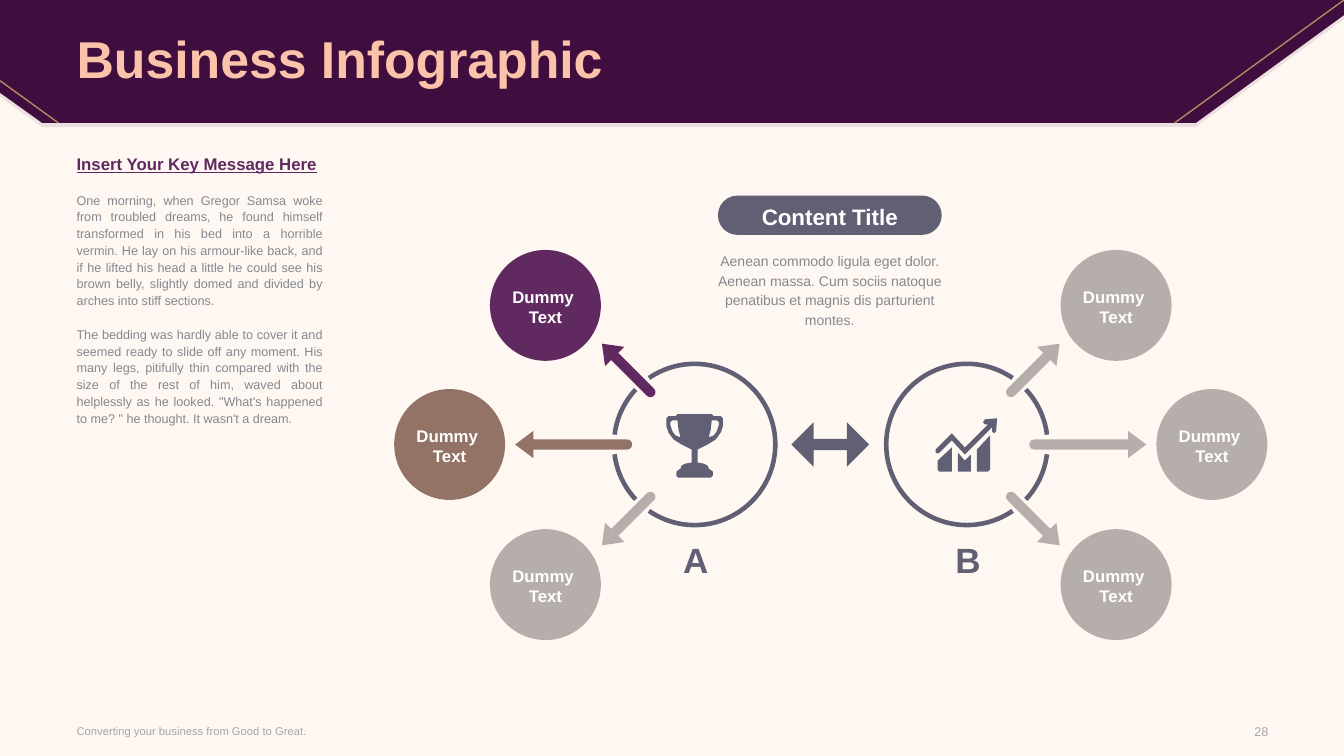
"""Build the Business Infographic slide with two hubs and their satellites."""
import math

import pptx
import pptx.dml.color
import pptx.enum.shapes
import pptx.enum.text
import pptx.oxml.ns
import pptx.util
from lxml import etree
from pptx.util import Inches

SHAPE = pptx.enum.shapes.MSO_SHAPE
ALIGN = pptx.enum.text.PP_ALIGN
ANCHOR = pptx.enum.text.MSO_ANCHOR
COLOR = pptx.dml.color.RGBColor.from_string


class Theme:
    font = "Arial"
    background = COLOR("FFF7F2")
    header = COLOR("3F0D3E")
    title = COLOR("FBC4AA")
    gold = COLOR("B98763")
    purple = COLOR("602A60")
    brown = COLOR("927365")
    stone = COLOR("B6AEAB")
    slate = COLOR("605F73")
    body = COLOR("85898F")
    footer = COLOR("A6A6A6")
    white = COLOR("FFFFFF")
    title_size = 37
    letter_size = 25
    pill_size = 16
    label_size = 12
    caption_size = 10
    body_size = 9
    footer_size = 8


deck = pptx.Presentation()
deck.slide_width = Inches(13.33)
deck.slide_height = Inches(7.5)
page = deck.slides.add_slide(deck.slide_layouts[6])
page.background.fill.solid()
page.background.fill.fore_color.rgb = Theme.background


def outline(contours, color):
    """Draw one filled freeform from closed contours given in inches."""
    rings = [[(Inches(x), Inches(y)) for x, y in contour] for contour in contours]
    builder = page.shapes.build_freeform(*rings[0][0], scale=1.0)
    for index, ring in enumerate(rings):
        if index:
            builder.move_to(*ring[0])
        builder.add_line_segments(ring[1:], close=True)
    shape = builder.convert_to_shape()
    shape.shadow.inherit = False
    shape.fill.solid()
    shape.fill.fore_color.rgb = color
    shape.line.fill.background()
    return shape


def write(at, texts, size, color, bold=False, align=ALIGN.LEFT,
          anchor=ANCHOR.MIDDLE, leading=None, gap=0):
    """Add a text box with one paragraph per text and return its paragraphs."""
    box = page.shapes.add_textbox(*map(Inches, at))
    frame = box.text_frame
    frame.word_wrap = True
    frame.vertical_anchor = anchor
    frame.margin_left = frame.margin_right = frame.margin_top = frame.margin_bottom = 0
    for index, text in enumerate(texts):
        para = frame.add_paragraph() if index else frame.paragraphs[0]
        para.alignment = align
        if leading:
            para.line_spacing = pptx.util.Pt(leading)
        if index and gap:
            para.space_before = pptx.util.Pt(gap)
        span = para.add_run()
        span.text = text
        span.font.name = Theme.font
        span.font.size = pptx.util.Pt(size)
        span.font.bold = bold
        span.font.color.rgb = color
    return frame.paragraphs


band = [(0, 0), (13.33, 0), (13.33, 0.15), (11.86, 1.22), (0.42, 1.22), (0, 0.92)]
band_shadow = outline([[(x, y + 0.04) for x, y in band]], Theme.header)
tint = band_shadow.fill._xPr.find(".//" + pptx.oxml.ns.qn("a:srgbClr"))
etree.SubElement(tint, pptx.oxml.ns.qn("a:alpha"), val="10000")
outline([band], Theme.header)

for x1, y1, x2, y2 in [(13.33, 0, 11.65, 1.22), (0, 0.8, 0.58, 1.22)]:
    trim = page.shapes.add_connector(
        pptx.enum.shapes.MSO_CONNECTOR.STRAIGHT, *map(Inches, (x1, y1, x2, y2)))
    trim.line.color.rgb = Theme.gold
    trim.line.width = pptx.util.Pt(1)
    etree.SubElement(trim._element.spPr, pptx.oxml.ns.qn("a:effectLst"))

title = write((0.76, 0.03, 11.81, 1.17), ["Business Infographic"],
              Theme.title_size, Theme.title, bold=True)
title[0].line_spacing = 0.9

message = write(
    (0.76, 1.56, 2.44, 5.19),
    ["Insert Your Key Message Here",
     "One morning, when Gregor Samsa woke from troubled dreams, he found himself "
     "transformed in his bed into a horrible vermin. He lay on his armour-like back, "
     "and if he lifted his head a little he could see his brown belly, slightly domed "
     "and divided by arches into stiff sections.",
     "The bedding was hardly able to cover it and seemed ready to slide off any moment. "
     "His many legs, pitifully thin compared with the size of the rest of him, waved "
     "about helplessly as he looked. \"What's happened to me? \" he thought. "
     "It wasn't a dream."],
    Theme.body_size, Theme.body, align=ALIGN.JUSTIFY, anchor=ANCHOR.TOP,
    leading=12, gap=12)
heading = message[0].runs[0].font
heading.size = pptx.util.Pt(Theme.label_size)
heading.bold = heading.underline = True
heading.color.rgb = Theme.purple

write((0.76, 7.12, 5.23, 0.26), ["Converting your business from Good to Great."],
      Theme.footer_size, Theme.footer)
write((11.95, 7.13, 0.63, 0.26), ["28"], Theme.body_size, Theme.footer, align=ALIGN.RIGHT)

axis, middle = 8.24, 4.41
hub_offset, hub_radius = 1.35, 0.8
node_radius, shaft, head, wing = 0.55, 0.05, 0.18, 0.135
ring_arcs = [(187, 223), (235.5, 124.5), (137, 173)]
spokes = [
    (2.83, -1.38, 2.27, -1.0, 0.73, 45, Theme.purple),
    (3.78, 0, 3.13, 0, 1.16, 0, Theme.brown),
    (2.83, 1.39, 2.27, 1.0, 0.73, -45, Theme.stone),
]

for side, letter in [(-1, "A"), (1, "B")]:
    hub = axis + side * hub_offset
    for start, end in ring_arcs:
        if side == 1:
            start, end = (180 - end) % 360, (180 - start) % 360
        arc = page.shapes.add_shape(
            SHAPE.ARC, Inches(hub - hub_radius), Inches(middle - hub_radius),
            Inches(2 * hub_radius), Inches(2 * hub_radius))
        arc.adjustments[0] = start * 0.6
        arc.adjustments[1] = end * 0.6
        arc.shadow.inherit = False
        arc.fill.background()
        arc.line.color.rgb = Theme.slate
        arc.line.width = pptx.util.Pt(3.25)
    write((hub - 0.47, 5.34, 0.96, 0.42), [letter], Theme.letter_size, Theme.slate,
          bold=True, align=ALIGN.CENTER)

    for node_x, node_y, tip_x, tip_y, length, angle, color in spokes:
        color = color if side == -1 else Theme.stone
        cap = [(length - shaft + shaft * math.cos(math.radians(turn)),
                shaft * math.sin(math.radians(turn))) for turn in range(-90, 91, 15)]
        arrow = [(0, 0), (head, -wing), (head, -shaft), *cap, (head, shaft), (head, wing)]
        cosine, sine = math.cos(math.radians(angle)), math.sin(math.radians(angle))
        outline([[(axis + side * (tip_x - along * cosine + across * sine),
                   middle + tip_y + along * sine + across * cosine)
                  for along, across in arrow]], color)

        center_x, center_y = axis + side * node_x, middle + node_y
        node = page.shapes.add_shape(
            SHAPE.OVAL, Inches(center_x - node_radius), Inches(center_y - node_radius),
            Inches(2 * node_radius), Inches(2 * node_radius))
        node.shadow.inherit = False
        node.fill.solid()
        node.fill.fore_color.rgb = color
        node.line.fill.background()
        write((center_x - 0.5, center_y - 0.19, 1, 0.4), ["Dummy ", "Text"],
              Theme.label_size, Theme.white, bold=True, align=ALIGN.CENTER)

cup = [(0.17, 4.11), (0.19, 4.13), (0.26, 4.13), (0.28, 4.15), (0.28, 4.23),
       (0.26, 4.29), (0.21, 4.36), (0.13, 4.41), (0.03, 4.46), (0.03, 4.59),
       (0.09, 4.6), (0.13, 4.62), (0.14, 4.65), (0.17, 4.67), (0.18, 4.68),
       (0.18, 4.72), (0.16, 4.74)]
handle = [(0.17, 4.17), (0.22, 4.17), (0.24, 4.19), (0.24, 4.22), (0.22, 4.28),
          (0.19, 4.32), (0.14, 4.34), (0.16, 4.26)]
trophy = axis - hub_offset
outline([[(trophy + x, y) for x, y in cup] + [(trophy - x, y) for x, y in reversed(cup)],
         [(trophy + x, y) for x, y in handle],
         [(trophy - x, y) for x, y in handle]], Theme.slate)

outline([
    [(9.3, 4.57), (9.44, 4.44), (9.44, 4.68), (9.32, 4.68), (9.3, 4.66)],
    [(9.5, 4.49), (9.57, 4.57), (9.63, 4.51), (9.63, 4.68), (9.5, 4.68)],
    [(9.69, 4.46), (9.82, 4.32), (9.82, 4.66), (9.8, 4.68), (9.69, 4.68)],
    [(9.77, 4.16), (9.89, 4.15), (9.88, 4.28), (9.86, 4.3), (9.84, 4.28), (9.84, 4.24),
     (9.57, 4.51), (9.44, 4.37), (9.32, 4.49), (9.3, 4.5), (9.28, 4.49), (9.28, 4.46),
     (9.44, 4.3), (9.57, 4.44), (9.8, 4.21), (9.77, 4.21), (9.75, 4.19)],
], Theme.slate)

for kind, at, adjustments in [
    (SHAPE.LEFT_RIGHT_ARROW, (7.85, 4.19, 0.77, 0.44), (0.25, 0.5)),
    (SHAPE.ROUNDED_RECTANGLE, (7.12, 1.94, 2.22, 0.39), (0.5,)),
]:
    block = page.shapes.add_shape(kind, *map(Inches, at))
    for index, value in enumerate(adjustments):
        block.adjustments[index] = value
    block.shadow.inherit = False
    block.fill.solid()
    block.fill.fore_color.rgb = Theme.slate
    block.line.fill.background()

write((7.14, 2.01, 2.18, 0.27), ["Content Title"], Theme.pill_size, Theme.white,
      bold=True, align=ALIGN.CENTER)
write((7.01, 2.48, 2.44, 0.79),
      ["Aenean commodo ligula eget dolor. Aenean massa. Cum sociis natoque penatibus "
       "et magnis dis parturient montes."],
      Theme.caption_size, Theme.body, align=ALIGN.CENTER, anchor=ANCHOR.TOP, leading=14)

deck.save("out.pptx")
